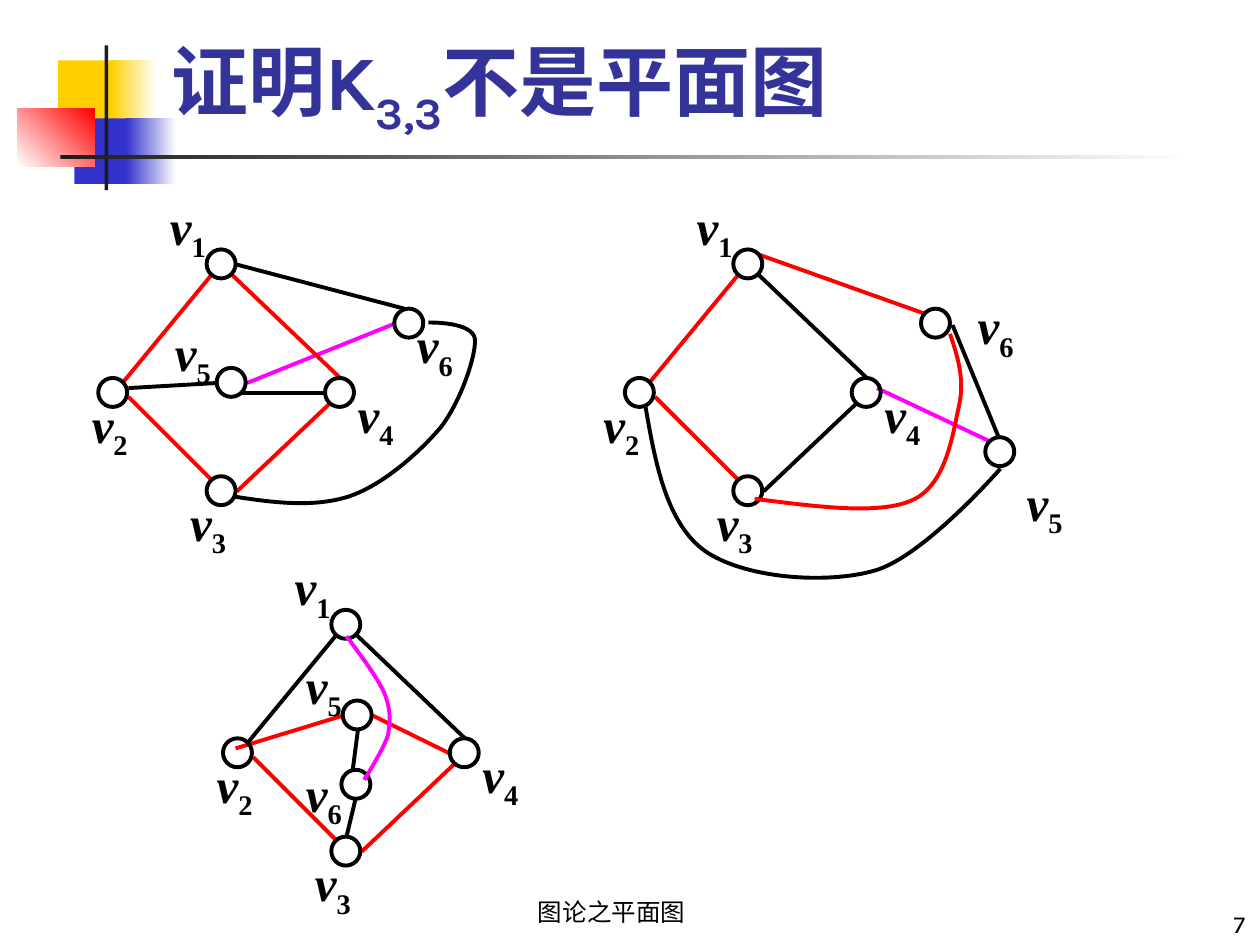
from lxml import etree
from pptx import Presentation
from pptx.dml.color import RGBColor
from pptx.enum.shapes import MSO_CONNECTOR, MSO_SHAPE
from pptx.enum.text import MSO_ANCHOR, MSO_AUTO_SIZE, PP_ALIGN
from pptx.oxml.ns import qn
from pptx.util import Cm, Pt

BLACK = RGBColor(0x00, 0x00, 0x00)
RED = RGBColor(0xFF, 0x00, 0x00)
MAGENTA = RGBColor(0xFF, 0x00, 0xFF)
WHITE = RGBColor(0xFF, 0xFF, 0xFF)
YELLOW = RGBColor(0xFF, 0xCF, 0x01)
BLUE = RGBColor(0x33, 0x33, 0xCC)
NAVY = RGBColor(0x33, 0x33, 0x99)
CHARCOAL = RGBColor(0x1C, 0x1C, 0x1C)

RECT, OVAL = MSO_SHAPE.RECTANGLE, MSO_SHAPE.OVAL
STRAIGHT = MSO_CONNECTOR.STRAIGHT
BOTTOM = MSO_ANCHOR.BOTTOM
LEFT, CENTER, RIGHT = PP_ALIGN.LEFT, PP_ALIGN.CENTER, PP_ALIGN.RIGHT

UNIT = 2.54  # cm in one layout unit; the slide is 10 by 7.5 units
NODE = 0.23
LABEL_SIZE = (0.51, 0.57)

# The square v1 v2 v3 v4 shared by all three graphs, relative to its origin.
NODES = {1: (1.64, 1.98), 2: (0.78, 3), 3: (1.64, 3.78), 4: (2.58, 3)}
LABELS = {1: (1.25, 1.51), 2: (0.63, 3.08), 3: (1.41, 3.86), 4: (2.74, 3)}
SIDES = {
    "12": (1.68, 2.18, 0.98, 3.03),
    "14": (1.84, 2.18, 2.7, 3),
    "23": (1.02, 3.15, 1.68, 3.81),
    "34": (1.88, 3.9, 2.62, 3.2),
}

# Nodes, labels, edges and curves that each graph adds, in slide units.
GRAPHS = [
    dict(
        origin=(0, 0), red_sides=("12", "14", "23", "34"), label_shifts={},
        nodes=[(1.72, 2.92), (3.13, 2.45)],
        labels={5: (1.29, 2.51), 6: (3.21, 2.45)},
        edges=[(1.96, 3.04, 3.13, 2.57, MAGENTA), (1.88, 2.1, 3.21, 2.45, BLACK),
               (1.02, 3.08, 1.72, 3.04, BLACK), (1.92, 3.12, 2.58, 3.12, BLACK)],
        curves=[(BLACK, [(1.85, 3.94), (2.17, 3.99), (2.49, 4.03), (2.77, 3.94),
                         (3.04, 3.85), (3.33, 3.59), (3.5, 3.39),
                         (3.66, 3.18), (3.78, 2.82), (3.77, 2.69),
                         (3.75, 2.55), (3.4, 2.56), (3.4, 2.56)])],
    ),
    dict(
        origin=(4.18, 0), red_sides=("12", "23"), label_shifts={2: -0.12},
        nodes=[(7.82, 3.47), (7.31, 2.45)],
        labels={5: (8.05, 3.7), 6: (7.66, 2.3)},
        edges=[(6.02, 2.02, 7.34, 2.49, RED), (7.56, 2.58, 7.93, 3.48, BLACK),
               (6.96, 3.08, 7.85, 3.5, MAGENTA)],
        curves=[(RED, [(5.99, 3.96), (6.48, 4.02), (6.97, 4.09), (7.24, 3.97),
                       (7.51, 3.85), (7.56, 3.45), (7.61, 3.23),
                       (7.66, 3.01), (7.6, 2.83), (7.54, 2.65)]),
                (BLACK, [(5.12, 3.21), (5.2, 3.68), (5.29, 4.15), (5.59, 4.37),
                         (5.9, 4.59), (6.55, 4.64), (6.94, 4.53),
                         (7.33, 4.42), (7.94, 3.72), (7.94, 3.72)])],
    ),
    dict(
        origin=(0.99, 2.86), red_sides=("23", "34"), label_shifts={},
        nodes=[(2.72, 5.56), (2.71, 6.11)],
        labels={5: (2.33, 5.15), 6: (2.33, 6.01)},
        edges=[(2.84, 5.8, 2.8, 6.11, BLACK), (1.87, 5.94, 2.72, 5.68, RED),
               (2.96, 5.68, 3.57, 5.98, RED), (2.82, 6.35, 2.75, 6.64, BLACK)],
        curves=[(MAGENTA, [(2.75, 5.05), (2.87, 5.21), (2.99, 5.37), (3.05, 5.5),
                           (3.1, 5.63), (3.1, 5.71), (3.08, 5.83),
                           (3.05, 5.94), (2.89, 6.19), (2.89, 6.19)])],
    ),
]


def lengths(*values):
    return [Cm(v * UNIT) for v in values]


def style_line(s, color):
    s.line.color.rgb = color
    s.line.width = Pt(2.25)


def style_run(r, size, color, font="Karla", bold=False):
    r.font.size, r.font.name, r.font.bold = Pt(size), font, bold
    r.font.color.rgb = color


def set_baseline(r, percent):
    r._r.get_or_add_rPr().set("baseline", str(percent * 1000))


def add_rect(shapes, box, color, end_color=None, angle=0):
    s = shapes.add_shape(RECT, *lengths(*box))
    s.shadow.inherit = False
    s.line.fill.background()
    if end_color is None:
        s.fill.solid()
        s.fill.fore_color.rgb = color
        return
    s.fill.gradient()
    s.fill.gradient_angle = angle
    for stop, rgb in zip(s.fill.gradient_stops, (color, end_color)):
        stop.color.rgb = rgb


def add_node(shapes, x, y):
    s = shapes.add_shape(OVAL, *lengths(x, y, NODE, NODE))
    s.shadow.inherit = False
    s.fill.background()
    style_line(s, BLACK)


def add_edge(shapes, x1, y1, x2, y2, color):
    s = shapes.add_connector(STRAIGHT, *lengths(x1, y1, x2, y2))
    style_line(s, color)
    etree.SubElement(s._element.spPr, qn("a:effectLst"))


def add_curve(shapes, points, color):
    """Draw cubic Bezier segments; points are a start, then three per segment."""
    start, *rest = [lengths(*p) for p in points]
    builder = shapes.build_freeform(*start)
    builder.add_line_segments(rest, close=False)
    s = builder.convert_to_shape()
    path = s._element.find(".//" + qn("a:path"))
    segments = path.findall(qn("a:lnTo"))
    for i in range(0, len(segments), 3):
        bezier = etree.SubElement(path, qn("a:cubicBezTo"))
        for segment in segments[i:i + 3]:
            bezier.append(segment[0])
            path.remove(segment)
    s.shadow.inherit = False
    s.fill.background()
    style_line(s, color)


def add_label(shapes, index, x, y):
    tf = shapes.add_textbox(*lengths(x, y, *LABEL_SIZE)).text_frame
    tf.word_wrap = False
    tf.auto_size = MSO_AUTO_SIZE.SHAPE_TO_FIT_TEXT
    for text in ("v", str(index)):
        r = tf.paragraphs[0].add_run()
        r.text = text
        style_run(r, 28, BLACK, "Times New Roman", bold=True)
        r.font.italic = text == "v"
    set_baseline(r, -25)


def add_graph(slide, graph):
    shapes = slide.shapes.add_group_shape().shapes
    dx, dy = graph["origin"]
    for x1, y1, x2, y2, color in graph["edges"]:
        add_edge(shapes, x1, y1, x2, y2, color)
    for name, (x1, y1, x2, y2) in SIDES.items():
        color = RED if name in graph["red_sides"] else BLACK
        add_edge(shapes, x1 + dx, y1 + dy, x2 + dx, y2 + dy, color)
    for x, y in [(x + dx, y + dy) for x, y in NODES.values()] + graph["nodes"]:
        add_node(shapes, x, y)
    for index, (x, y) in LABELS.items():
        add_label(shapes, index, x + dx + graph["label_shifts"].get(index, 0), y + dy)
    for index, (x, y) in graph["labels"].items():
        add_label(shapes, index, x, y)
    for color, points in graph["curves"]:
        add_curve(shapes, points, color)


def add_text_shadow(r):
    effects = etree.Element(qn("a:effectLst"))
    shadow = etree.SubElement(effects, qn("a:outerShdw"), dist="28398", dir="2700000")
    etree.SubElement(shadow, qn("a:srgbClr"), val=str(BLACK))
    r._r.rPr.find(qn("a:solidFill")).addnext(effects)


def set_title(slide):
    s = slide.shapes.title
    s.left, s.top, s.width, s.height = lengths(1.26, 0.08, 8.52, 1.07)
    tf = s.text_frame
    tf.vertical_anchor, tf.auto_size = BOTTOM, MSO_AUTO_SIZE.NONE
    p = tf.paragraphs[0]
    p.alignment = LEFT
    for text, baseline in (("证明K", 0), ("3,3", -25), ("不是平面图", 0)):
        r = p.add_run()
        r.text = text
        style_run(r, 44, NAVY, bold=True)
        set_baseline(r, baseline)
        add_text_shadow(r)


def add_footer(slide, text, box, alignment):
    tf = slide.shapes.add_textbox(*lengths(*box)).text_frame
    tf.word_wrap, tf.vertical_anchor = True, BOTTOM
    tf.text = text
    p = tf.paragraphs[0]
    p.alignment = alignment
    style_run(p.runs[0], 14, BLACK)


def add_decoration(shapes):
    add_rect(shapes, (0.46, 0.48, 0.48, 0.52), YELLOW)
    add_rect(shapes, (0.88, 0.48, 0.36, 0.52), YELLOW, WHITE)
    add_rect(shapes, (0.59, 0.94, 0.46, 0.52), BLUE)
    add_rect(shapes, (1, 0.94, 0.4, 0.52), BLUE, WHITE)
    add_rect(shapes, (0.14, 0.86, 0.61, 0.46), WHITE, RED, angle=45)
    add_rect(shapes, (0.83, 0.36, 0.03, 1.15), CHARCOAL)
    add_rect(shapes, (0.48, 1.23, 9, 0.03), CHARCOAL, WHITE)


def main():
    prs = Presentation()
    prs.slide_width, prs.slide_height = lengths(10, 7.5)
    slide = prs.slides.add_slide(prs.slide_layouts[5])
    add_decoration(slide.shapes)
    set_title(slide)
    add_footer(slide, "图论之平面图", (3.27, 6.9, 3.17, 0.5), CENTER)
    add_footer(slide, "7", (7.9, 7, 2.08, 0.5), RIGHT)
    for graph in GRAPHS:
        add_graph(slide, graph)
    prs.save("out.pptx")


if __name__ == "__main__":
    main()
